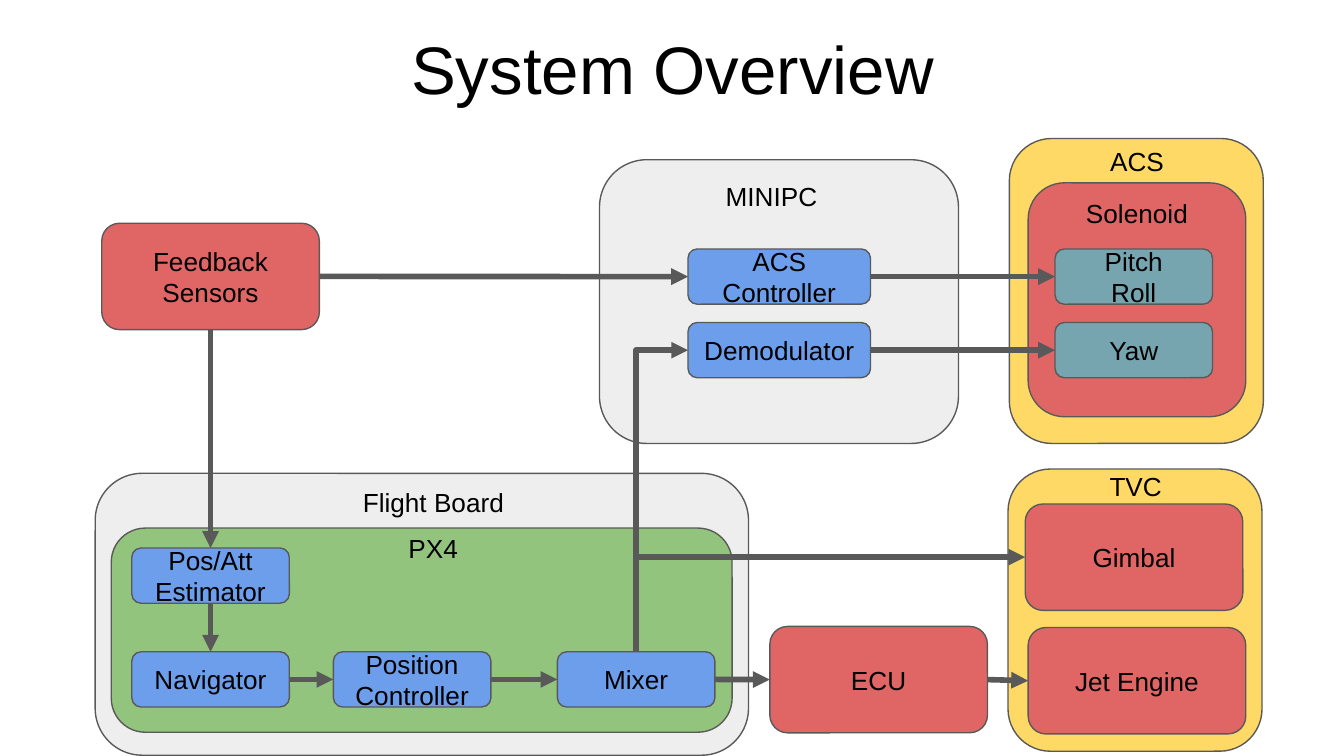
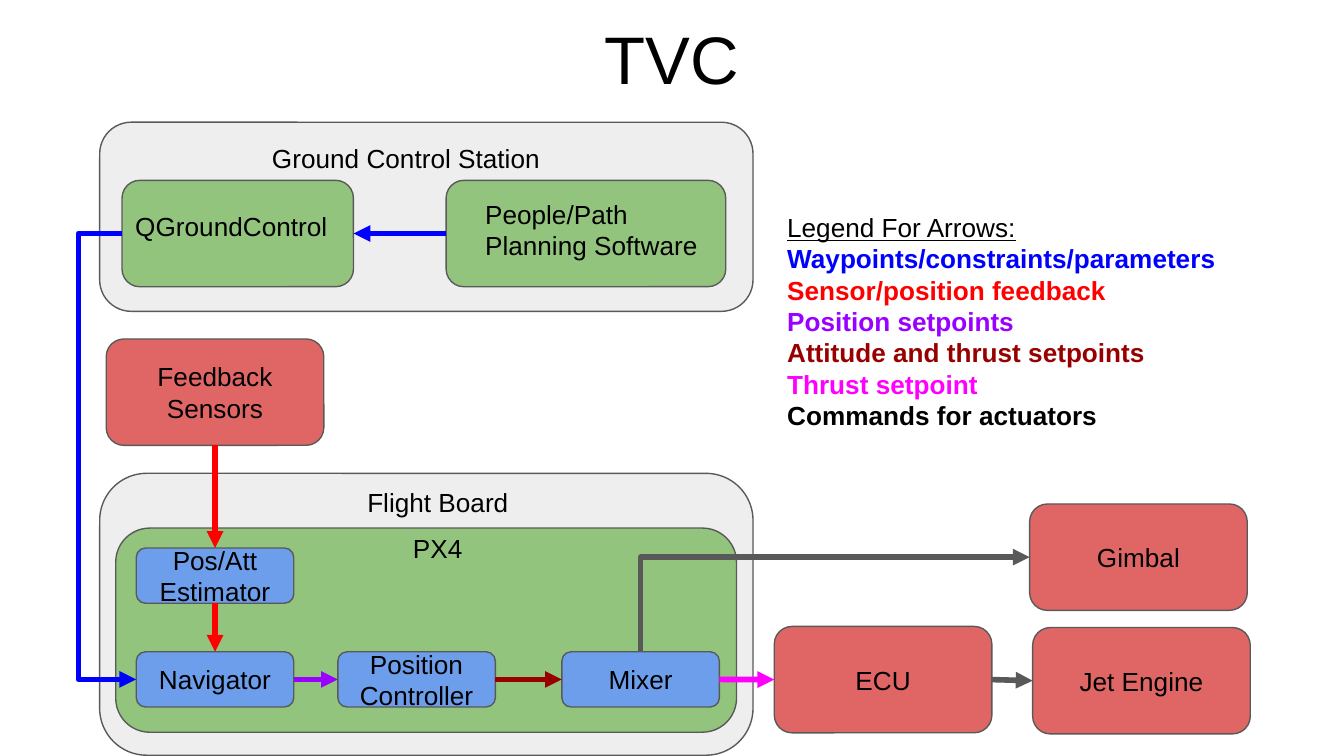
"""Build two block diagrams of a flight control system."""
from lxml import etree
from pptx import Presentation
from pptx.dml import color
from pptx.enum import shapes, text
from pptx.oxml import ns
from pptx.util import Pt

FONT = "Arial"
BLACK, GRAY, PALE = "000000", "595959", "EEEEEE"
YELLOW, GREEN, RED, BLUE, TEAL = "FFD966", "93C47D", "E06666", "6D9EEB", "76A5AF"
WAYPOINT, FEEDBACK, POSITION = "0000FF", "FF0000", "9900FF"
ATTITUDE, THRUST = "980000", "FF00FF"

DEVICE, BLOCK, WIDE = (116.6, 57), (84.4, 29.6), (97.8, 29.6)
DOWN, RIGHT, LEFT = (2, 0), (3, 1), (1, 3)
CENTER, START = text.PP_ALIGN.CENTER, text.PP_ALIGN.LEFT
INSET = 7.2
STACK_SHIFT = 2.4
BLOCK_ROW, ACS_ROW, YAW_ROW = 349.2, 133.4, 172.8

STACK = {
    "frames": [
        ("Flight Board", 51, 253.6, (350, 151), PALE),
        ("PX4", 59.6, 282.9, (332.6, 109.4), GREEN),
    ],
    "boxes": [
        ("Gimbal", 549.2, 270, DEVICE, RED),
        ("Pos/Att Estimator", 70.6, 293.6, BLOCK, BLUE),
        ("Navigator", 70.6, BLOCK_ROW, BLOCK, BLUE),
        ("Position Controller", 178.6, BLOCK_ROW, BLOCK, BLUE),
        ("Mixer", 298.6, BLOCK_ROW, BLOCK, BLUE),
        ("ECU", 412.4, 335.6, DEVICE, RED),
        ("Jet Engine", 550.8, 336.2, DEVICE, RED),
    ],
    "labels": [
        ("Flight Board", 179.2, 253.4, (106, 29.5), CENTER),
        ("PX4", 173.8, 278, (116.6, 22), CENTER),
    ],
    "arrows": [
        ("Feedback Sensors", "Pos/Att Estimator", DOWN, FEEDBACK),
        ("Pos/Att Estimator", "Navigator", DOWN, FEEDBACK),
        ("Navigator", "Position Controller", RIGHT, POSITION),
        ("Position Controller", "Mixer", RIGHT, ATTITUDE),
        ("Mixer", "ECU", RIGHT, THRUST),
        ("ECU", "Jet Engine", RIGHT, GRAY),
    ],
}

OVERVIEW = {
    "title": ("System Overview", 100.8, 7.2, (519, 62.6)),
    "frames": [
        ("ACS", 540.7, 74.2, (136.1, 163.4), YELLOW),
        ("TVC", 540, 251.3, (136.1, 151.2), YELLOW),
        ("MINIPC", 321.2, 85.6, (192.3, 152), PALE),
        ("Solenoid", 550.8, 98, (116.6, 125.3), RED),
    ],
    "boxes": [
        ("Feedback Sensors", 54.5, 119.6, DEVICE, RED),
        ("ACS Controller", 368.6, ACS_ROW, WIDE, BLUE),
        ("Demodulator", 368.6, YAW_ROW, WIDE, BLUE),
        ("Pitch\nRoll", 565.2, ACS_ROW, BLOCK, TEAL),
        ("Yaw", 565.2, YAW_ROW, BLOCK, TEAL),
    ],
    "labels": [
        ("MINIPC", 374.4, 89.3, (77.8, 22), CENTER),
        ("Solenoid", 570.2, 98.6, (77.8, 22), CENTER),
        ("TVC", 560.2, 244.8, (96.5, 38.2), CENTER),
        ("ACS", 560.9, 70.6, (96.5, 38.2), CENTER),
    ],
    "arrows": [
        ("Feedback Sensors", "ACS Controller", RIGHT, GRAY),
        ("ACS Controller", "Pitch\nRoll", RIGHT, GRAY),
        ("Demodulator", "Yaw", RIGHT, GRAY),
    ],
    "corners": [("Mixer", "Demodulator"), ("Mixer", "Gimbal")],
}

TVC = {
    "title": ("TVC", 154.1, 2.2, (411.8, 54)),
    "frames": [
        ("Ground Control Station", 53.4, 65.5, (350, 101.3), PALE),
        ("QGroundControl", 65.4, 96.6, (124, 57), GREEN),
        ("Planning", 239, 96.6, (149.8, 57), GREEN),
    ],
    "boxes": [("Feedback Sensors", 56.9, 181.6, DEVICE, RED)],
    "labels": [
        ("Ground Control Station", 138.6, 69.1, (169.2, 22), START),
        ("QGroundControl", 65.4, 105.8, (124, 38.2), START),
        ("People/Path Planning Software", 252.8, 99, (136.1, 38.2), START),
    ],
    "arrows": [("Planning", "QGroundControl", LEFT, WAYPOINT)],
    "corners": [("Mixer", "Gimbal")],
}

LEGEND_BOX = (414.6, 106, (262.8, 121.7))
LEGEND = [
    ("Legend For Arrows:", BLACK),
    ("Waypoints/constraints/parameters", WAYPOINT),
    ("Sensor/position feedback", FEEDBACK),
    ("Position setpoints", POSITION),
    ("Attitude and thrust setpoints", ATTITUDE),
    ("Thrust setpoint", THRUST),
    ("Commands for actuators", BLACK),
]
LOOP_LEFT = 42.1


def rgb(value):
    return color.RGBColor.from_string(value)


def place(left, top, size):
    return [Pt(value) for value in (left, top, *size)]


def write(shape, content, align=CENTER, size=14, anchor=text.MSO_ANCHOR.TOP):
    frame = shape.text_frame
    frame.text = content
    frame.word_wrap = True
    frame.auto_size = text.MSO_AUTO_SIZE.NONE
    frame.vertical_anchor = anchor
    frame.margin_left = frame.margin_right = Pt(INSET)
    frame.margin_top = frame.margin_bottom = Pt(INSET)
    for paragraph in frame.paragraphs:
        paragraph.alignment = align
        for run in paragraph.runs:
            run.font.name, run.font.size = FONT, Pt(size)
            run.font.color.rgb = rgb(BLACK)
    return frame.paragraphs


def add_box(slide, left, top, size, fill):
    kind = shapes.MSO_SHAPE.ROUNDED_RECTANGLE
    shape = slide.shapes.add_shape(kind, *place(left, top, size))
    shape.shadow.inherit = False
    shape.fill.solid()
    shape.fill.fore_color.rgb = rgb(fill)
    shape.line.color.rgb = rgb(GRAY)
    shape.line.width = Pt(0.75)
    return shape


def add_label(slide, content, left, top, size, align):
    return write(slide.shapes.add_textbox(*place(left, top, size)), content, align)


def add_arrow(slide, kind, points, stroke):
    connector = slide.shapes.add_connector(kind, *points)
    connector.line.color.rgb = rgb(stroke)
    connector.line.width = Pt(3)
    properties = connector._element.spPr
    line = properties.find(ns.qn("a:ln"))
    etree.SubElement(line, ns.qn("a:tailEnd"), type="triangle")
    etree.SubElement(properties, ns.qn("a:effectLst"))
    return connector


def join(slide, begin, end, sides, stroke):
    connector = add_arrow(slide, shapes.MSO_CONNECTOR.STRAIGHT, (0, 0, 0, 0), stroke)
    connector.begin_connect(begin, sides[0])
    connector.end_connect(end, sides[1])


def left_middle(shape):
    return shape.left, shape.top + shape.height // 2


def add_corner(slide, begin, end):
    """Draw an arrow that goes up from one box, then right into another."""
    start_x, start_y = begin.left + begin.width // 2, begin.top
    end_x, end_y = left_middle(end)
    middle_x, middle_y = (start_x + end_x) // 2, (start_y + end_y) // 2
    half_rise, half_run = (start_y - end_y) // 2, (end_x - start_x) // 2
    points = (middle_x - half_rise, middle_y - half_run,
              middle_x + half_rise, middle_y + half_run)
    connector = add_arrow(slide, shapes.MSO_CONNECTOR.ELBOW, points, GRAY)
    properties = connector._element.spPr
    properties.find(ns.qn("a:xfrm")).set("rot", "16200000")
    properties.find(ns.qn("a:prstGeom")).set("prst", "bentConnector2")


def add_loop(slide, begin, end, bend):
    """Draw an arrow that leaves and enters on the left, by way of bend."""
    start, finish = left_middle(begin), left_middle(end)
    connector = add_arrow(slide, shapes.MSO_CONNECTOR.ELBOW, (*start, *finish), WAYPOINT)
    ratio = round((bend - start[0]) / (finish[0] - start[0]) * 100000)
    geometry = connector._element.spPr.find(ns.qn("a:prstGeom"))
    guides = geometry.find(ns.qn("a:avLst"))
    etree.SubElement(guides, ns.qn("a:gd"), name="adj1", fmla=f"val {ratio}")


def add_legend(slide):
    content = "\n".join(entry for entry, _ in LEGEND)
    paragraphs = add_label(slide, content, *LEGEND_BOX, START)
    for paragraph, (_, shade) in zip(paragraphs, LEGEND):
        for run in paragraph.runs:
            run.font.color.rgb = rgb(shade)
            run.font.bold = paragraph is not paragraphs[0]
            run.font.underline = paragraph is paragraphs[0]


def add_diagram(presentation, diagram, shift=0, colored=False):
    slide = presentation.slides.add_slide(presentation.slide_layouts[5])
    heading, *spot = diagram["title"]
    title = slide.shapes.title
    title.left, title.top, title.width, title.height = place(*spot)
    write(title, heading, size=36)

    parts = {}
    groups = ((STACK, shift), (diagram, 0))
    for kind in ("frames", "boxes"):
        for group, offset in groups:
            for name, left, top, size, fill in group[kind]:
                parts[name] = add_box(slide, left + offset, top, size, fill)
                if kind == "boxes":
                    write(parts[name], name, anchor=text.MSO_ANCHOR.MIDDLE)
    for group, offset in groups:
        for content, left, top, size, align in group["labels"]:
            add_label(slide, content, left + offset, top, size, align)
        for begin, end, sides, stroke in group["arrows"]:
            join(slide, parts[begin], parts[end], sides, stroke if colored else GRAY)
    for begin, end in diagram["corners"]:
        add_corner(slide, parts[begin], parts[end])
    return slide, parts


def main():
    presentation = Presentation()
    presentation.slide_width, presentation.slide_height = Pt(720), Pt(405)
    add_diagram(presentation, OVERVIEW)
    slide, parts = add_diagram(presentation, TVC, STACK_SHIFT, colored=True)
    add_loop(slide, parts["QGroundControl"], parts["Navigator"], Pt(LOOP_LEFT))
    add_legend(slide)
    presentation.save("out.pptx")


if __name__ == "__main__":
    main()
